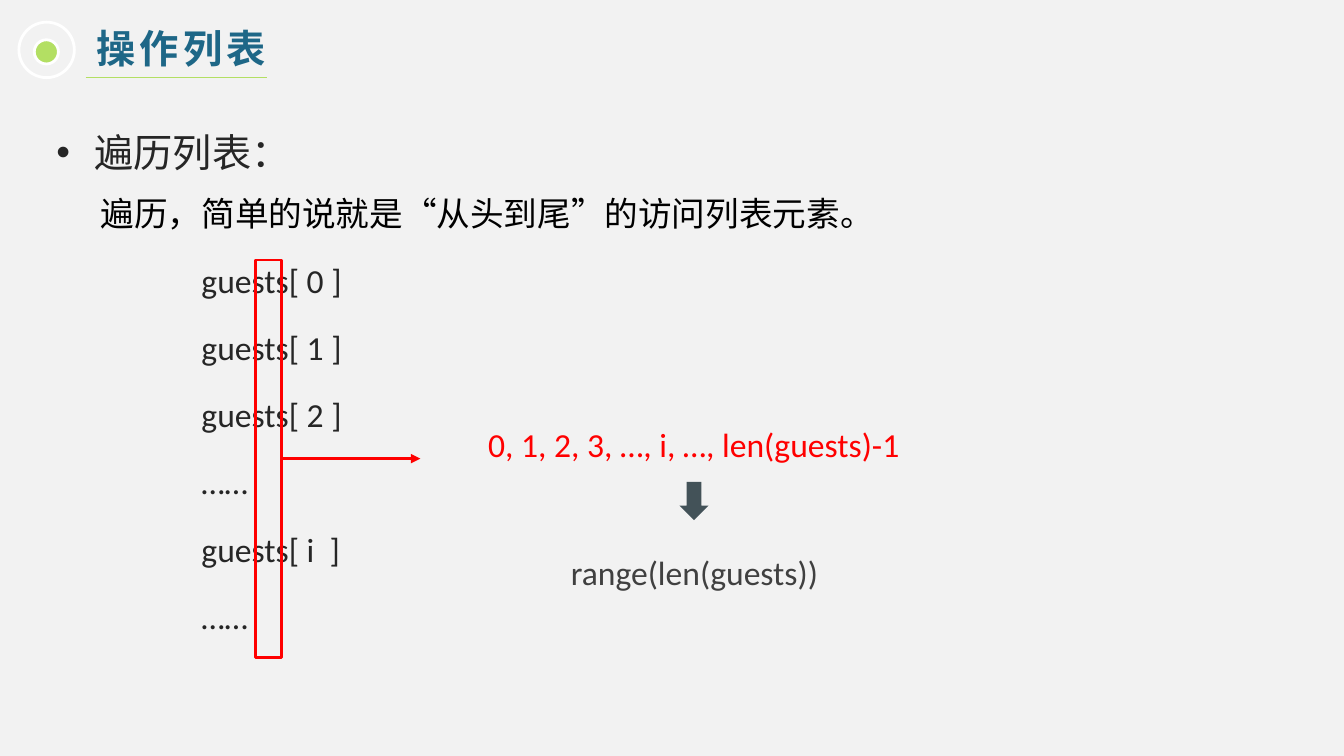
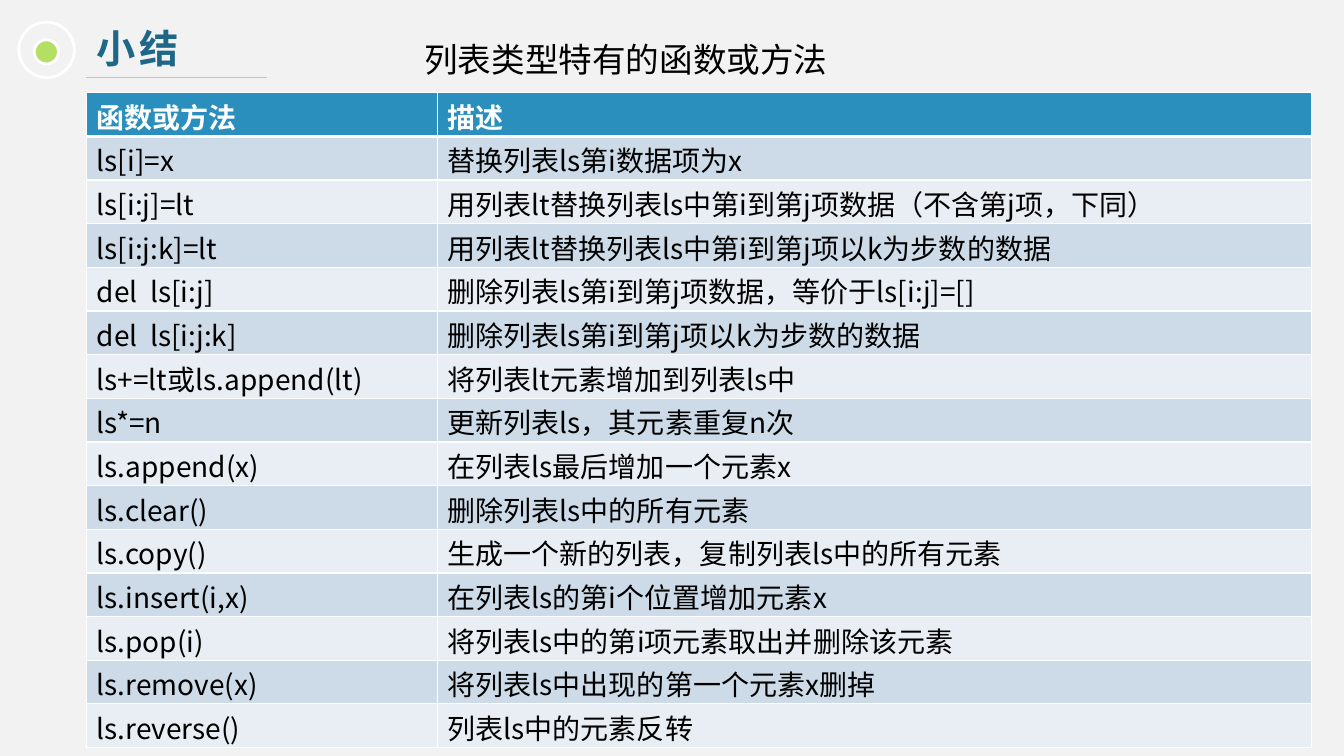
from dataclasses import dataclass
from typing import NamedTuple

from lxml import etree
from pptx import Presentation
from pptx import util as u
from pptx.dml.color import RGBColor
from pptx.enum import shapes, text
from pptx.oxml import ns

SLIDE_WIDTH, SLIDE_HEIGHT = u.Inches(13.33), u.Inches(7.5)
GRID_COLUMNS, GRID_ROWS = 160, 90


@dataclass(frozen=True)
class Theme:
    background: str = "F2F2F2"
    title: str = "1E6787"
    accent: str = "B3DF63"
    body: str = "262626"
    muted: str = "404040"
    black: str = "000000"
    white: str = "FFFFFF"
    highlight: str = "FF0000"
    down_arrow: str = "435258"
    table_header: str = "2A8FBD"
    table_bands: tuple[str, str] = ("CDDBE8", "E8EEF4")
    latin_font: str = "Calibri"
    chinese_font: str = "Noto Sans CJK SC"
    title_size: int = 28
    text_size: int = 24
    table_size: int = 20


THEME = Theme()


class Box(NamedTuple):
    """Place on the slide in grid columns and rows."""
    column: float
    row: float
    columns: float
    rows: float

    def emu(self) -> tuple[int, int, int, int]:
        return (across(self.column), down(self.row),
                across(self.columns), down(self.rows))


class Style(NamedTuple):
    size: int
    color: str
    font: str = THEME.latin_font
    bold: bool = False
    spacing: int = 0


class BodyLine(NamedTuple):
    words: str
    style: Style
    margin: float
    bullet: bool = False
    line_spacing: float = 1.5


class Outline(NamedTuple):
    color: str
    width: float


TITLE = Style(THEME.title_size, THEME.title, THEME.chinese_font, True, 3)
BODY_HEADING = Style(THEME.title_size, THEME.body)
BODY_TEXT = Style(THEME.text_size, THEME.body)
EXPLANATION = Style(THEME.text_size, THEME.black, THEME.chinese_font)
CAPTION = Style(THEME.text_size, THEME.black)
HEADER_CELL = Style(THEME.table_size, THEME.white, THEME.chinese_font, True)
TABLE_CELL = Style(THEME.table_size, THEME.black, THEME.chinese_font)

TRAVERSAL_LINES = [
    BodyLine("遍历列表：", BODY_HEADING, 4.56, bullet=True),
    # The Chinese font is taller, so its line needs less spacing.
    BodyLine("遍历，简单的说就是“从头到尾”的访问列表元素。", EXPLANATION, 5.28,
             line_spacing=1.26),
    *(BodyLine(item, BODY_TEXT, 17.28) for item in (
        "guests[ 0 ]", "guests[ 1 ]", "guests[ 2 ]", "……", "guests[ i  ]", "……")),
]

METHODS = [
    ("函数或方法", "描述"),
    ("ls[i]=x", "替换列表ls第i数据项为x"),
    ("ls[i:j]=lt", "用列表lt替换列表ls中第i到第j项数据（不含第j项，下同）"),
    ("ls[i:j:k]=lt", "用列表lt替换列表ls中第i到第j项以k为步数的数据"),
    ("del  ls[i:j]", "删除列表ls第i到第j项数据，等价于ls[i:j]=[]"),
    ("del  ls[i:j:k]", "删除列表ls第i到第j项以k为步数的数据"),
    ("ls+=lt或ls.append(lt)", "将列表lt元素增加到列表ls中"),
    ("ls*=n", "更新列表ls，其元素重复n次"),
    ("ls.append(x)", "在列表ls最后增加一个元素x"),
    ("ls.clear()", "删除列表ls中的所有元素"),
    ("ls.copy()", "生成一个新的列表，复制列表ls中的所有元素"),
    ("ls.insert(i,x)", "在列表ls的第i个位置增加元素x"),
    ("ls.pop(i)", "将列表ls中的第i项元素取出并删除该元素"),
    ("ls.remove(x)", "将列表ls中出现的第一个元素x删掉"),
    ("ls.reverse()", "列表ls中的元素反转"),
]


def across(columns: float) -> int:
    return round(SLIDE_WIDTH * columns / GRID_COLUMNS)


def down(rows: float) -> int:
    return round(SLIDE_HEIGHT * rows / GRID_ROWS)


def rgb(color: str) -> RGBColor:
    return RGBColor.from_string(color)


def add_xml(parent, tag: str, **attributes: str):
    return etree.SubElement(parent, ns.qn(tag), attributes)


def add_run(paragraph, words: str, style: Style) -> None:
    run = paragraph.add_run()
    run.text = words
    font = run.font
    font.size, font.bold, font.name = u.Pt(style.size), style.bold, style.font
    font.color.rgb = rgb(style.color)
    properties = font._element
    add_xml(properties, "a:ea", typeface=style.font)
    if style.spacing:
        properties.set("spc", str(style.spacing * 100))


def add_text_box(slide, box: Box, wrap: bool = True):
    frame = slide.shapes.add_textbox(*box.emu()).text_frame
    frame.word_wrap = wrap
    return frame


def add_label(slide, box: Box, words: str, style: Style) -> None:
    """Add one line of text centred both ways."""
    frame = add_text_box(slide, box)
    frame.vertical_anchor = text.MSO_ANCHOR.MIDDLE
    paragraph = frame.paragraphs[0]
    paragraph.alignment = text.PP_ALIGN.CENTER
    add_run(paragraph, words, style)


def add_shape(slide, kind: shapes.MSO_SHAPE, box: Box,
              fill: str | None = None, outline: Outline | None = None) -> None:
    shape = slide.shapes.add_shape(kind, *box.emu())
    shape.shadow.inherit = False
    if fill:
        shape.fill.solid()
        shape.fill.fore_color.rgb = rgb(fill)
    else:
        shape.fill.background()
    if outline:
        shape.line.color.rgb = rgb(outline.color)
        shape.line.width = u.Pt(outline.width)
    else:
        shape.line.fill.background()


def add_horizontal_line(slide, start: float, end: float, row: float,
                        outline: Outline, arrow: bool = False) -> None:
    connector = slide.shapes.add_connector(
        shapes.MSO_CONNECTOR.STRAIGHT, across(start), down(row), across(end), down(row))
    connector.line.color.rgb = rgb(outline.color)
    connector.line.width = u.Pt(outline.width)
    if arrow:
        add_xml(connector.line._get_or_add_ln(), "a:tailEnd", type="triangle")
    add_xml(connector._element.spPr, "a:effectLst")


def add_titled_slide(presentation, title: str):
    """Add a blank-layout slide with the badge, title and rule."""
    slide = presentation.slides.add_slide(presentation.slide_layouts[6])
    frame = add_text_box(slide, Box(10.32, 2.28, 82.08, 6.84))
    add_run(frame.paragraphs[0], title, TITLE)
    white_edge = Outline(THEME.white, 2)
    add_shape(slide, shapes.MSO_SHAPE.OVAL, Box(4.08, 4.74, 2.88, 2.88),
              THEME.accent, white_edge)
    add_shape(slide, shapes.MSO_SHAPE.OVAL, Box(2.25, 2.64, 6.6, 6.6),
              outline=white_edge)
    add_horizontal_line(slide, 10.2, 31.8, 9.24, Outline(THEME.accent, 0.75))
    return slide


def add_body(slide, box: Box, lines: list[BodyLine]) -> None:
    frame = add_text_box(slide, box)
    for index, line in enumerate(lines):
        paragraph = frame.add_paragraph() if index else frame.paragraphs[0]
        paragraph.line_spacing = line.line_spacing
        paragraph.space_before = u.Pt(4.8)
        properties = paragraph._element.get_or_add_pPr()
        margin = across(line.margin)
        properties.set("marL", str(margin))
        properties.set("indent", str(-margin if line.bullet else 0))
        if line.bullet:
            add_xml(properties, "a:buFont", typeface="Arial")
            add_xml(properties, "a:buChar", char="•")
        add_run(paragraph, line.words, line.style)


def set_cell_borders(cell, top: float, bottom: float) -> None:
    properties = cell._tc.get_or_add_tcPr()
    for side, width in {"L": 1, "R": 1, "T": top, "B": bottom}.items():
        line = add_xml(properties, f"a:ln{side}", w=str(u.Pt(width)))
        add_xml(add_xml(line, "a:solidFill"), "a:srgbClr", val=THEME.white)


def add_method_table(slide, box: Box, column_widths: tuple[float, ...],
                     rows: list[tuple[str, str]]) -> None:
    table = slide.shapes.add_table(len(rows), len(column_widths), *box.emu()).table
    for column, width in zip(table.columns, column_widths):
        column.width = across(width)
    for index, (row, words) in enumerate(zip(table.rows, rows)):
        row.height = down(box.rows / len(rows))
        header = index == 0
        fill = THEME.table_header if header else THEME.table_bands[(index - 1) % 2]
        for cell, content in zip(row.cells, words):
            set_cell_borders(cell, 3 if index == 1 else 1, 3 if header else 1)
            cell.fill.solid()
            cell.fill.fore_color.rgb = rgb(fill)
            cell.margin_top, cell.margin_bottom = u.Inches(0.03), 0
            add_run(cell.text_frame.paragraphs[0], content,
                    HEADER_CELL if header else TABLE_CELL)


def build_traversal_slide(presentation) -> None:
    slide = add_titled_slide(presentation, "操作列表")
    add_body(slide, Box(5.52, 11.88, 138, 68.76), TRAVERSAL_LINES)
    index_frame = Box(30.42, 30.96, 3.12, 47.28)
    add_shape(slide, shapes.MSO_SHAPE.RECTANGLE, index_frame,
              outline=Outline(THEME.highlight, 2))
    add_horizontal_line(slide, index_frame.column + index_frame.columns, 50.04,
                        index_frame.row + index_frame.rows / 2,
                        Outline(THEME.highlight, 2.25), arrow=True)
    add_label(slide, Box(55.32, 48.96, 54.6, 7.8),
              "0, 1, 2, 3, …, i, …, len(guests)-1",
              Style(THEME.text_size, THEME.highlight))
    add_shape(slide, shapes.MSO_SHAPE.DOWN_ARROW, Box(80.88, 57.36, 3.48, 4.56),
              THEME.down_arrow)
    add_label(slide, Box(62.88, 64.92, 39.6, 6.48), "range(len(guests))",
              Style(THEME.text_size, THEME.muted))


def build_summary_slide(presentation) -> None:
    slide = add_titled_slide(presentation, "小结")
    add_method_table(slide, Box(10.32, 11.04, 145.8, 78), (41.76, 104.04), METHODS)
    caption = add_text_box(slide, Box(49.32, 4.08, 50.88, 6), wrap=False)
    add_run(caption.paragraphs[0], "列表类型特有的函数或方法", CAPTION)


def main() -> None:
    presentation = Presentation()
    presentation.slide_width, presentation.slide_height = SLIDE_WIDTH, SLIDE_HEIGHT
    background = presentation.slide_master.background.fill
    background.solid()
    background.fore_color.rgb = rgb(THEME.background)
    build_traversal_slide(presentation)
    build_summary_slide(presentation)
    presentation.save("out.pptx")


if __name__ == "__main__":
    main()
